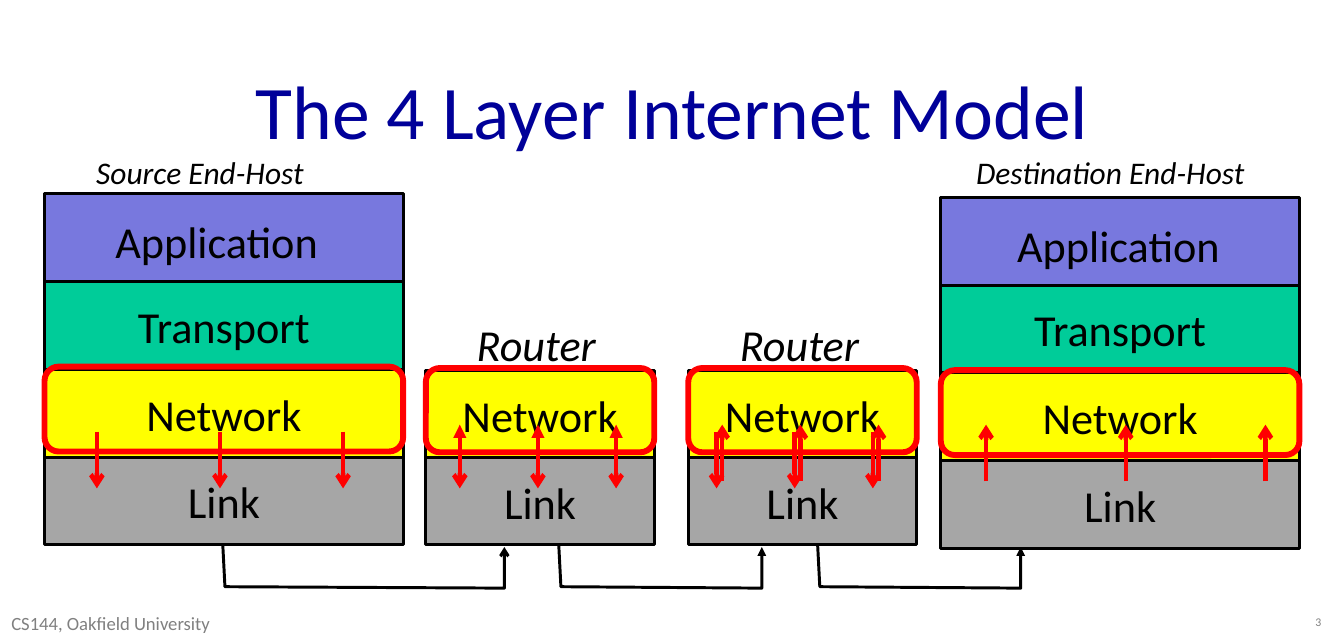
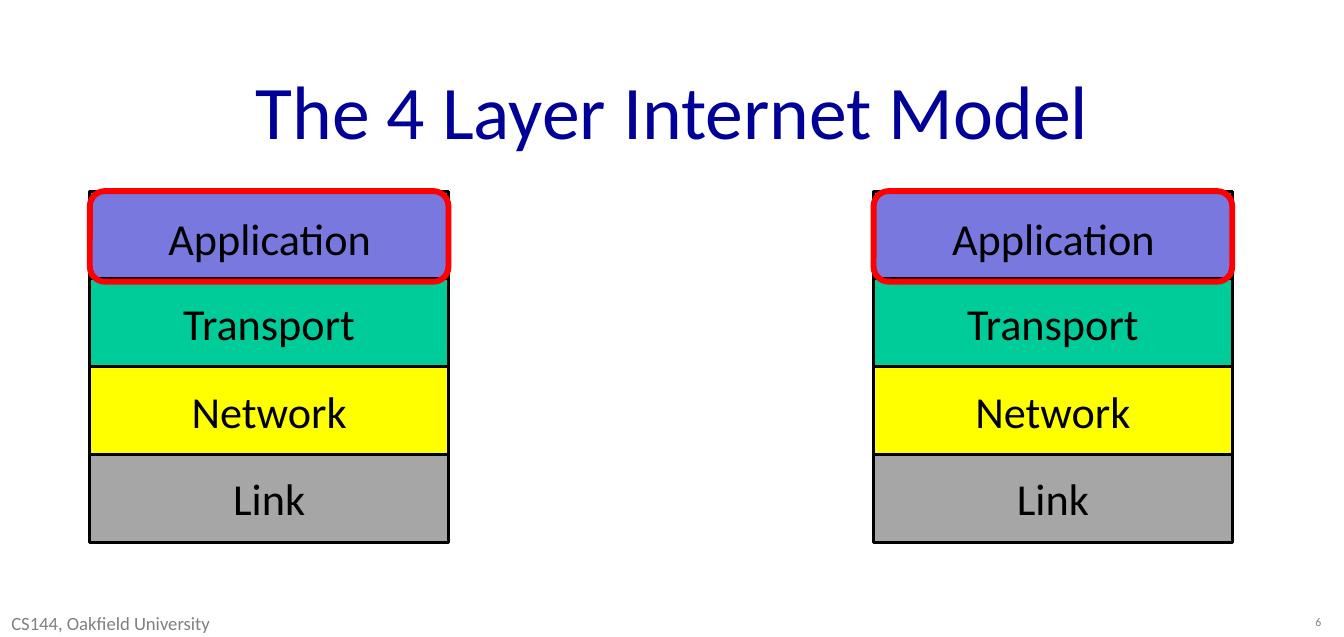
"""Build two slides on the four layer Internet model."""
from lxml import etree
from pptx import Presentation, util as u
from pptx.dml.color import RGBColor
from pptx.enum import shapes, text
from pptx.oxml.ns import qn

rgb = RGBColor.from_string
L, C, R = text.PP_ALIGN.LEFT, text.PP_ALIGN.CENTER, text.PP_ALIGN.RIGHT
TOP, MID = text.MSO_ANCHOR.TOP, text.MSO_ANCHOR.MIDDLE
BLACK, RED, GREY, NAVY = "000000", "FF0000", "808080", "000099"
LAYERS = [("Application", "7878DE"), ("Transport", "00CC99"), ("Network", "FFFF00"), ("Link", "A6A6A6")]
W, H = 19, 9
HOST_W, HOST_ROW = 5.07, 1.24
ROUTER_W, ROUTER_ROW = 3.23, 1.23


def paint(sp, line, width, fill=None, head=None):
    """Set outline, fill and arrowhead, and drop the shadow."""
    if fill:
        sp.fill.solid()
        sp.fill.fore_color.rgb = rgb(fill)
    elif hasattr(sp, "fill"):
        sp.fill.background()
    sp.line.color.rgb = rgb(line)
    sp.line.width = u.Pt(width)
    spPr = sp.element.spPr
    if head:
        etree.SubElement(spPr.find(qn("a:ln")), qn("a:tailEnd"), type=head)
    etree.SubElement(spPr, qn("a:effectLst"))


def write(sp, words, size, color, align=L, anchor=TOP, ins=(0.16, 0.08, 0.16, 0.08), wrap=True, italic=False):
    """Put one formatted line of text in a shape."""
    tf = sp.text_frame
    sides = ("margin_left", "margin_top", "margin_right", "margin_bottom")
    frame = dict(zip(sides, map(u.Inches, ins)), word_wrap=wrap, vertical_anchor=anchor,
                 auto_size=text.MSO_AUTO_SIZE.NONE)
    for k, v in frame.items():
        setattr(tf, k, v)
    p = tf.paragraphs[0]
    p.alignment = align
    r = p.add_run()
    r.text = words
    for k, v in dict(name="Calibri", size=u.Pt(size), italic=italic).items():
        setattr(r.font, k, v)
    r.font.color.rgb = rgb(color)


prs = Presentation()
prs.slide_width, prs.slide_height = u.Inches(W), u.Inches(H)
layout = prs.slide_layouts[5]
title = layout.placeholders[0]
for k, v in dict(left=1.43, top=0.8, width=0.85 * W, height=H / 6).items():
    setattr(title, k, u.Inches(v))

pages = [
    dict(number="3",
         stacks=[(0.63, 2.74, HOST_W, HOST_ROW, LAYERS, 1.0),
                 (6.02, 5.24, ROUTER_W, ROUTER_ROW, LAYERS[2:], 0),
                 (9.73, 5.24, ROUTER_W, ROUTER_ROW, LAYERS[2:], 0),
                 (13.3, 2.79, HOST_W, HOST_ROW, LAYERS, 1.08)],
         ring=("Network", -0.04, -0.04),
         labels=[("Source End-Host", 1.2, 2.08, 4, 32), ("Router", 6.58, 4.4, 2.2, 45),
                 ("Router", 10.3, 4.4, 2.2, 45), ("Destination End-Host", 13.64, 2.08, 4.3, 32)],
         arrows=[(1.37, 1.74, 6.1, 6.9, "arrow"), (6.5, 1.105, 6.8, 6, "triangle"),
                 (6.5, 1.105, 6.1, 6.9, "arrow"), (10.21, 1.105, 6.8, 6, "arrow"),
                 (10.13, 1.105, 6.1, 6.9, "arrow"), (13.94, 1.975, 6.8, 6, "arrow")],
         hops=[(3.15, 7.13, "arrow"), (7.9, 10.77, "triangle"), (11.56, 14.43, "triangle")]),
    dict(number="6",
         stacks=[(x, 2.7, HOST_W, HOST_ROW, LAYERS, 1.11) for x in (1.27, 12.35)],
         ring=("Application", 0, 0.04), labels=[], arrows=[], hops=[]),
]

for page in pages:
    s = prs.slides.add_slide(layout)
    write(s.shapes.title, "The 4 Layer Internet Model", 77, NAVY, C, MID)
    for words, x, y, w, h, size, align in [
            ("CS144, Oakfield University", 0, 8.57, 6.02, 0.43, 19, L),
            (page["number"], 14.88, 8.6, 3.96, 0.4, 12, R)]:
        write(s.shapes.add_textbox(*map(u.Inches, (x, y, w, h))), words, size, GREY, align)

    for x, top, w, row, layers, indent in page["stacks"]:
        for i, (name, fill) in enumerate(layers):
            y = top + i * row
            sp = s.shapes.add_shape(shapes.MSO_SHAPE.RECTANGLE, *map(u.Inches, (x, y, w, row)))
            paint(sp, BLACK, 3, fill)
            if name == "Application":
                write(sp, name, 45, BLACK, L, MID, (indent, 0.14, 0.1, 0.05))
            else:
                write(sp, name, 45, BLACK, C, MID, (0.1, 0.05, 0.1, 0.05), False)
        ringed, shift, grow = page["ring"]
        y = top + [name for name, _ in layers].index(ringed) * row + shift
        sp = s.shapes.add_shape(shapes.MSO_SHAPE.ROUNDED_RECTANGLE, *map(u.Inches, (x, y, w, row + grow)))
        paint(sp, RED, 6)

    for words, x, y, w, size in page["labels"]:
        write(s.shapes.add_textbox(*map(u.Inches, (x, y, w, 0.9))), words, size, BLACK, italic=True)

    for x, gap, y1, y2, head in page["arrows"]:
        for i in range(3):
            cx = x + i * gap
            c = s.shapes.add_connector(shapes.MSO_CONNECTOR.STRAIGHT, *map(u.Inches, (cx, y1, cx, y2)))
            paint(c, RED, 4.5, head=head)

    for x1, x2, head in page["hops"]:
        y = 7.71
        fb = s.shapes.build_freeform(u.Inches(x1), u.Inches(y))
        corners = [(x1 + 0.03, y + 0.58), (x2, y + 0.6), (x2, y + 0.02)]
        fb.add_line_segments([(u.Inches(a), u.Inches(b)) for a, b in corners], close=False)
        paint(fb.convert_to_shape(), BLACK, 3, head=head)

prs.save("out.pptx")
